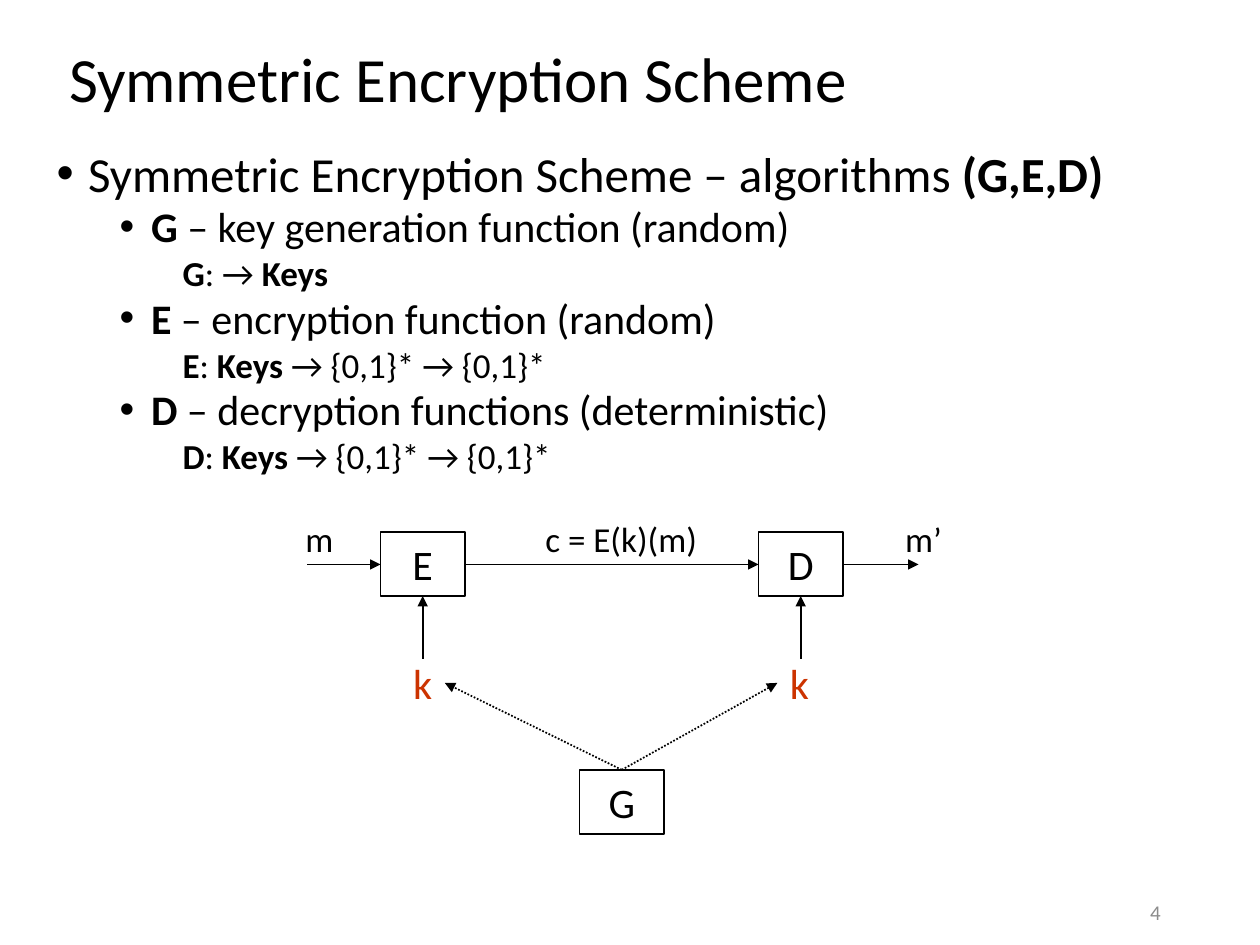
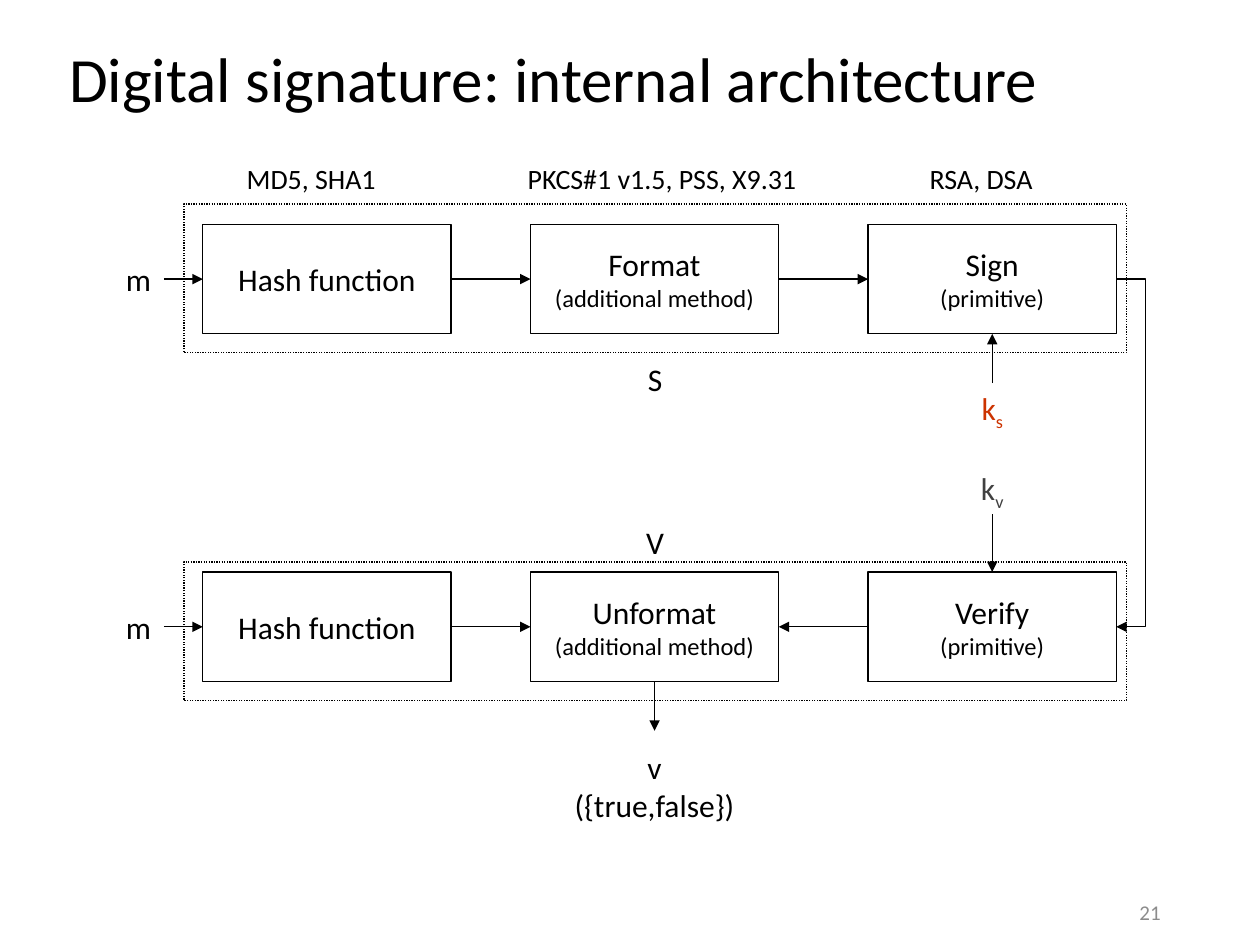
from pptx import Presentation
from pptx.dml.color import RGBColor
from pptx.enum.dml import MSO_LINE
from pptx.enum.shapes import MSO_CONNECTOR, MSO_SHAPE
from pptx.enum.text import MSO_ANCHOR, PP_ALIGN
from pptx.oxml import parse_xml
from pptx.oxml.ns import nsdecls, qn
from pptx.util import Inches, Pt

FONT = "Calibri"
BLACK = "000000"
GRAY = "8C8C8C"
DARK_GRAY = "404040"
RED = "CC3300"

STAGE_WIDTH, STAGE_HEIGHT = 1.97, 0.87
STAGE_OFFSETS = (0, 2.6, 5.28)


def color(hex_string):
    return RGBColor.from_string(hex_string)


def format_run(run, size, hex_color=BLACK, bold=False):
    run.font.name = FONT
    run.font.size = Pt(size)
    run.font.bold = bold
    run.font.color.rgb = color(hex_color)


def write_lines(shape, lines, hex_color, align, anchor, wrap):
    frame = shape.text_frame
    frame.word_wrap = wrap
    frame.vertical_anchor = anchor
    frame.text = "\n".join(text for text, size in lines)
    for paragraph, (text, size) in zip(frame.paragraphs, lines):
        paragraph.alignment = align
        format_run(paragraph.runs[0], size, hex_color)


def add_label(slide, left, top, width, height, lines, hex_color=BLACK,
              align=PP_ALIGN.CENTER, anchor=MSO_ANCHOR.TOP, wrap=False):
    label = slide.shapes.add_textbox(Inches(left), Inches(top), Inches(width), Inches(height))
    write_lines(label, lines, hex_color, align, anchor, wrap)
    return label


def style_line(line, weight, dotted=False):
    line.color.rgb = color(BLACK)
    line.width = Pt(weight)
    if dotted:
        line.dash_style = MSO_LINE.ROUND_DOT


def add_arrowhead(shape):
    outline = shape.element.spPr.find(qn("a:ln"))
    outline.append(parse_xml(f'<a:tailEnd {nsdecls("a")} type="triangle"/>'))


def add_box(slide, left, top, width, height, weight, lines=(), dotted=False):
    box = slide.shapes.add_shape(
        MSO_SHAPE.RECTANGLE, Inches(left), Inches(top), Inches(width), Inches(height))
    box.shadow.inherit = False
    box.fill.background()
    style_line(box.line, weight, dotted)
    if lines:
        write_lines(box, lines, BLACK, PP_ALIGN.CENTER, MSO_ANCHOR.MIDDLE, False)


def add_arrow(slide, start, end, weight, dotted=False):
    arrow = slide.shapes.add_connector(
        MSO_CONNECTOR.STRAIGHT, *(Inches(value) for value in (*start, *end)))
    style_line(arrow.line, weight, dotted)
    add_arrowhead(arrow)
    arrow.element.spPr.append(parse_xml(f'<a:effectLst {nsdecls("a")}/>'))


def add_bent_arrow(slide, points, weight):
    first, *others = [(Inches(x), Inches(y)) for x, y in points]
    builder = slide.shapes.build_freeform(*first)
    builder.add_line_segments(others, close=False)
    arrow = builder.convert_to_shape()
    arrow.shadow.inherit = False
    arrow.fill.background()
    style_line(arrow.line, weight)
    add_arrowhead(arrow)


def add_slide(presentation, title, number):
    slide = presentation.slides.add_slide(presentation.slide_layouts[6])
    heading = add_label(slide, 0.45, 0.29, 9.1, 0.72, [(title, 36)],
                        align=PP_ALIGN.LEFT, anchor=MSO_ANCHOR.MIDDLE, wrap=True)
    heading.text_frame.paragraphs[0].line_spacing = 0.9
    add_label(slide, 7.06, 7.13, 2.25, 0.22, [(number, 12)], GRAY,
              PP_ALIGN.RIGHT, MSO_ANCHOR.MIDDLE, True)
    return slide


def set_indent(paragraph, level):
    properties = paragraph._p.get_or_add_pPr()
    properties.set("marL", str(Inches(0.25 + 0.5 * level)))
    properties.set("indent", str(Inches(-0.25)))
    if level < 2:
        properties.append(parse_xml(f'<a:buFont {nsdecls("a")} typeface="Arial"/>'))
        properties.append(parse_xml(f'<a:buChar {nsdecls("a")} char="•"/>'))
    else:
        properties.set("marL", str(Inches(1.25)))
        properties.append(parse_xml(f'<a:buNone {nsdecls("a")}/>'))
        properties.set("indent", str(Inches(-0.25)))


def add_outline(slide, left, top, width, height, items):
    body = slide.shapes.add_textbox(Inches(left), Inches(top), Inches(width), Inches(height))
    frame = body.text_frame
    frame.word_wrap = True
    for index, (level, parts) in enumerate(items):
        paragraph = frame.paragraphs[0] if index == 0 else frame.add_paragraph()
        set_indent(paragraph, level)
        paragraph.line_spacing = 0.8
        if index:
            paragraph.space_before = Pt(5)
        for text, bold in parts:
            run = paragraph.add_run()
            run.text = text
            format_run(run, 28 - 4 * level, bold=bold)


def add_encryption_flow(slide, left, top):
    width, height = 0.67, 0.51
    encrypt, decrypt, generate = left + 0.58, left + 3.58, left + 2.16
    middle, bottom = top + 0.26, top + height
    generate_top = top + 1.89
    for letter, x, y in (("E", encrypt, top), ("D", decrypt, top),
                         ("G", generate, generate_top)):
        add_box(slide, x, y, width, height, 1, [(letter, 24)])
    for start, end in ((left, encrypt), (encrypt + width, decrypt),
                       (decrypt + width, left + 4.85)):
        add_arrow(slide, (start, middle), (end, middle), 1)
    for text, offset, label_width in (("m", -0.12, 0.43), ("c = E(k)(m)", 1.78, 1.42),
                                      ("m’", 4.64, 0.5)):
        add_label(slide, left + offset, top - 0.16, label_width, 0.44, [(text, 20)])
    source = (generate + width / 2, generate_top)
    for x, key_left, target in ((encrypt, left + 0.74, left + 1.09),
                                (decrypt, left + 3.73, left + 3.73)):
        center = x + width / 2
        add_arrow(slide, (center, top + 1.01), (center, bottom), 1)
        add_label(slide, key_left, top + 0.95, 0.35, height, [("k", 24)], RED)
        add_arrow(slide, source, (target, top + 1.2), 1, dotted=True)


def add_stage_row(slide, left, top, stages, padding_above, last_backward=False):
    middle = top + STAGE_HEIGHT / 2
    add_box(slide, left - 0.15, top - padding_above, 7.48, padding_above + 1.02, 0.75,
            dotted=True)
    add_label(slide, left - 0.71, top, 0.39, STAGE_HEIGHT, [("m", 18)],
              anchor=MSO_ANCHOR.MIDDLE)
    add_arrow(slide, (left - 0.31, middle), (left, middle), 0.75)
    for offset, (name, *notes) in zip(STAGE_OFFSETS, stages):
        lines = [(name, 18)] + [(note, 14) for note in notes]
        add_box(slide, left + offset, top, STAGE_WIDTH, STAGE_HEIGHT, 0.75, lines)
    for index in (0, 1):
        start = (left + STAGE_OFFSETS[index] + STAGE_WIDTH, middle)
        end = (left + STAGE_OFFSETS[index + 1], middle)
        if index == 1 and last_backward:
            start, end = end, start
        add_arrow(slide, start, end, 0.75)


def add_key(slide, left, top, subscript, hex_color):
    label = add_label(slide, left, top, STAGE_WIDTH, 0.41, [("k", 18)], hex_color, wrap=True)
    run = label.text_frame.paragraphs[0].add_run()
    run.text = subscript
    format_run(run, 18, hex_color)
    run._r.get_or_add_rPr().set("baseline", "-25000")


def add_signature_flow(slide, left, top):
    verify_top = top + 2.76
    add_stage_row(slide, left, top, [
        ("Hash function",), ("Format", "(additional method)"), ("Sign", "(primitive)")], 0.16)
    add_stage_row(slide, left, verify_top, [
        ("Hash function",), ("Unformat", "(additional method)"), ("Verify", "(primitive)")],
        0.08, last_backward=True)
    for text, offset, width in (("MD5, SHA1", 0.25, 1.24),
                                ("PKCS#1 v1.5, PSS, X9.31", 2.48, 2.36),
                                ("RSA, DSA", 5.67, 1.03)):
        add_label(slide, left + offset, top - 0.55, width, 0.37, [(text, 16)],
                  align=PP_ALIGN.LEFT)
    for text, offset in (("S", 1.03), ("V", 2.32)):
        add_label(slide, left - 0.16, top + offset, 7.5, 0.4, [(text, 18)], wrap=True)

    format_left, key_left = (left + offset for offset in STAGE_OFFSETS[1:])
    key_center = key_left + STAGE_WIDTH / 2
    add_key(slide, key_left, top + 1.26, "s", RED)
    add_key(slide, key_left, top + 1.89, "v", DARK_GRAY)
    add_arrow(slide, (key_center, top + 1.26), (key_center, top + STAGE_HEIGHT), 0.75)
    add_arrow(slide, (key_center, top + 2.3), (key_center, verify_top), 0.75)

    right = key_left + STAGE_WIDTH
    sign_middle, verify_middle = top + STAGE_HEIGHT / 2, verify_top + STAGE_HEIGHT / 2
    add_bent_arrow(slide, [(right, sign_middle), (right + 0.23, sign_middle),
                           (right + 0.23, verify_middle), (right, verify_middle)], 0.75)

    result_center, result_top = format_left + STAGE_WIDTH / 2, top + 4.02
    add_arrow(slide, (result_center, verify_top + STAGE_HEIGHT),
              (result_center, result_top), 0.75)
    add_label(slide, format_left, result_top, STAGE_WIDTH, STAGE_HEIGHT,
              [("v", 18), ("({true,false})", 18)], anchor=MSO_ANCHOR.MIDDLE)


def main():
    presentation = Presentation()
    presentation.slide_width = Inches(10)
    presentation.slide_height = Inches(7.5)

    encryption = add_slide(presentation, "Symmetric Encryption Scheme", "4")
    items = [(0, [("Symmetric Encryption Scheme – algorithms ", False), ("(G,E,D)", True)])]
    for letter, purpose, keys, mapping in (
            ("G", "key generation function (random)", "Keys", ""),
            ("E", "encryption function (random)", "Keys ", "→ {0,1}* → {0,1}*"),
            ("D", "decryption functions (deterministic)", "Keys ", "→ {0,1}* → {0,1}*")):
        separator = ": " if mapping else ": → "
        items.append((1, [(letter, True), (f" – {purpose}", False)]))
        signature = [(letter, True), (separator, False), (keys, True)]
        if mapping:
            signature.append((mapping, False))
        items.append((2, signature))
    add_outline(encryption, 0.35, 1.18, 9.15, 2.82, items)
    add_encryption_flow(encryption, 2.44, 4.22)

    signature_slide = add_slide(presentation, "Digital signature: internal architecture", "21")
    add_signature_flow(signature_slide, 1.61, 1.78)

    presentation.save("out.pptx")


if __name__ == "__main__":
    main()
